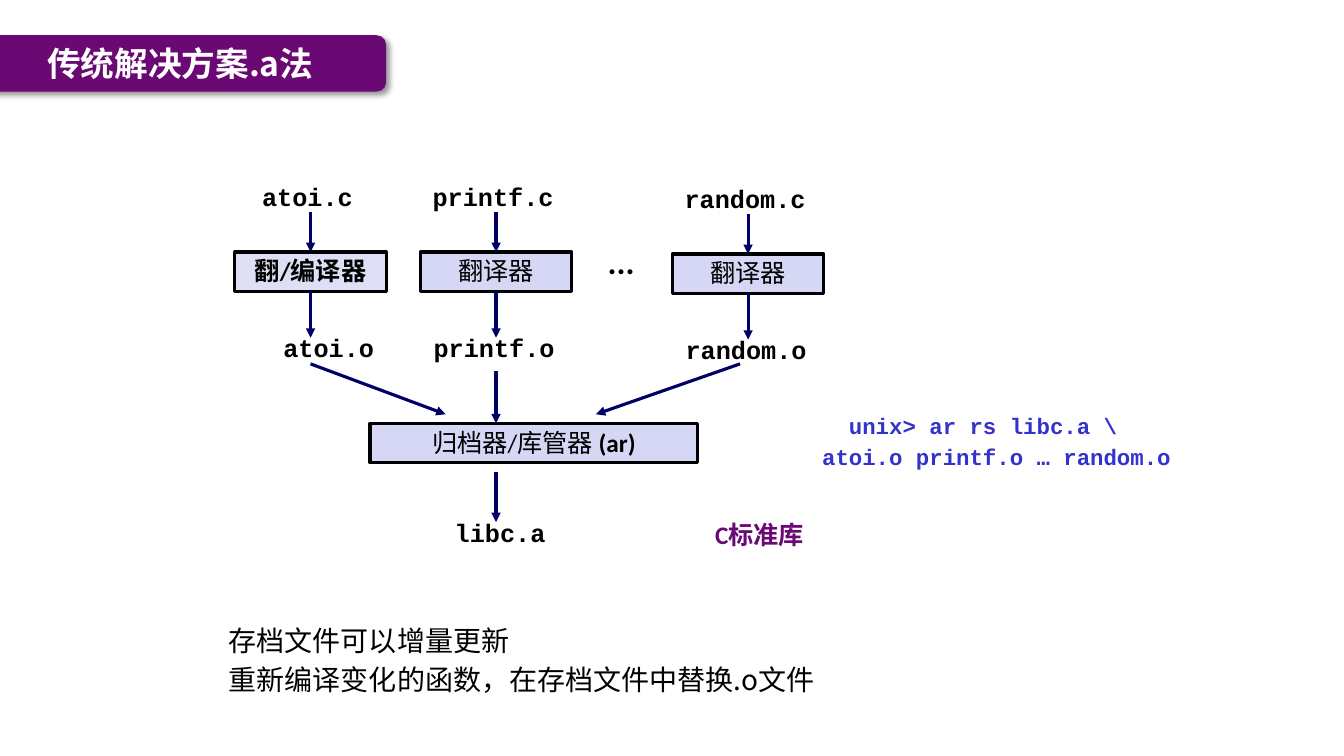
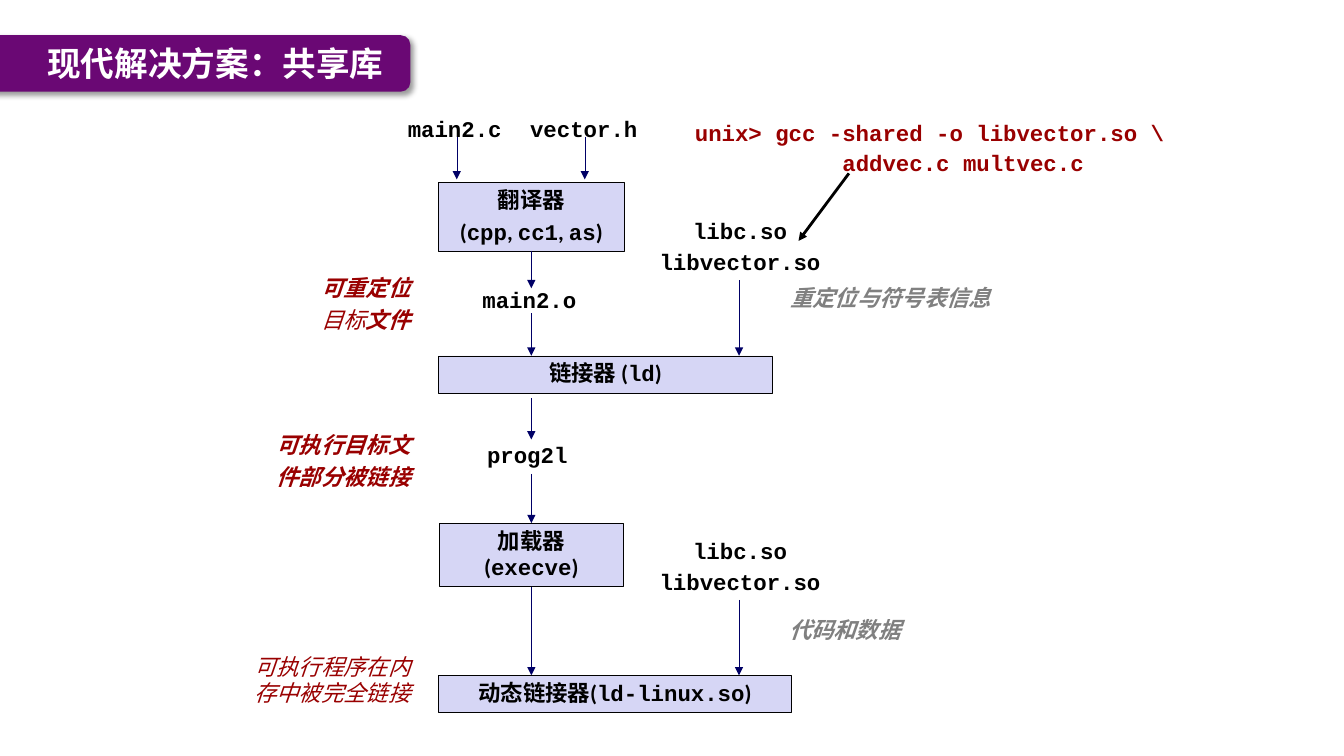
"""Build two slides on static archives and shared libraries."""
from dataclasses import dataclass, replace

from lxml import etree
from pptx import Presentation
from pptx import util as u
from pptx.dml.color import RGBColor
from pptx.enum import shapes, text
from pptx.oxml import parse_xml
from pptx.oxml.ns import nsdecls, qn

BLACK = RGBColor(0x00, 0x00, 0x00)
WHITE = RGBColor(0xFF, 0xFF, 0xFF)
NAVY = RGBColor(0x00, 0x00, 0x66)
BLUE = RGBColor(0x33, 0x33, 0xCC)
PURPLE = RGBColor(0x6A, 0x08, 0x74)
RED = RGBColor(0x99, 0x00, 0x00)
GRAY = RGBColor(0x80, 0x80, 0x80)
LAVENDER = RGBColor(0xD6, 0xD6, 0xF5)
PALE_LAVENDER = RGBColor(0xDE, 0xDF, 0xF5)
LEFT, CENTER, RIGHT = text.PP_ALIGN.LEFT, text.PP_ALIGN.CENTER, text.PP_ALIGN.RIGHT
TOP_SITE, BOTTOM_SITE = 0, 2


@dataclass(frozen=True)
class Style:
    """Character format of a run."""
    font: str = "Calibri"
    size: int = 16
    color: RGBColor = BLACK
    bold: bool = True
    italic: bool = False


MONO = Style("Courier New")
BOX = Style()
NOTE = Style(color=RED, italic=True)
HINT = Style(color=GRAY, italic=True)
HEADING = Style("Noto Sans CJK SC", 24, WHITE)
BODY = Style("Noto Sans CJK SC", 20, bold=False)


class Deck:
    """Holds the presentation, the current slide and its line weight."""

    def __init__(self):
        self.prs = Presentation()
        self.prs.slide_width, self.prs.slide_height = u.Inches(13.33), u.Inches(7.5)
        self.slide = None
        self.weight = 1

    def new_slide(self, title, band_width, weight):
        """Add a slide with its title on a purple band."""
        self.slide = self.prs.slides.add_slide(self.prs.slide_layouts[5])
        self.weight = weight
        heading = self.slide.shapes.title
        heading.left, heading.top = u.Inches(0.37), u.Inches(0.35)
        heading.width, heading.height = u.Inches(band_width - 0.7), u.Inches(0.55)
        self.fill_text(heading.text_frame, [title], HEADING, LEFT, 1.0)
        heading.text_frame.vertical_anchor = text.MSO_ANCHOR.MIDDLE
        heading.text_frame.auto_size = text.MSO_AUTO_SIZE.NONE
        band = self.slide.shapes.add_shape(
            shapes.MSO_SHAPE.ROUNDED_RECTANGLE,
            u.Inches(-0.2), u.Inches(0.35), u.Inches(band_width), u.Inches(0.56))
        band.fill.solid()
        band.fill.fore_color.rgb = PURPLE
        band.line.fill.background()
        band._element.spPr.append(parse_xml(
            f'<a:effectLst {nsdecls("a")}><a:outerShdw blurRad="{u.Pt(4)}" dist="{u.Pt(3)}"'
            ' dir="2700000" algn="tl" rotWithShape="0"><a:srgbClr val="000000">'
            '<a:alpha val="40000"/></a:srgbClr></a:outerShdw></a:effectLst>'))
        heading._element.addprevious(band._element)

    def fill_text(self, frame, lines, style, align, spacing):
        """Fill a frame with lines, each a string or a list of (text, style) runs."""
        for index, line in enumerate(lines):
            paragraph = frame.add_paragraph() if index else frame.paragraphs[0]
            paragraph.alignment = align
            paragraph.line_spacing = spacing
            paragraph.space_before = u.Pt(4 if index and isinstance(spacing, float) else 0)
            for words, look in [(line, style)] if isinstance(line, str) else line:
                run = paragraph.add_run()
                run.text = words
                font = run.font
                font.name, font.size = look.font, u.Pt(look.size)
                font.bold, font.italic = look.bold, look.italic
                font.color.rgb = look.color
                east_asian = etree.SubElement(run._r.rPr, qn("a:ea"))
                east_asian.set("typeface", look.font)

    def label(self, at, lines, style, align=CENTER, spacing=0.98, wrap=True):
        """Add a text box at (left, top, width, height)."""
        frame = self.slide.shapes.add_textbox(*map(u.Inches, at)).text_frame
        frame.word_wrap = wrap
        self.fill_text(frame, lines, style, align, spacing)

    def code(self, center, top, lines, style=MONO):
        """Add unwrapped monospaced lines centred on an axis."""
        width = max(map(len, lines)) * style.size * 0.6 / 72 + 0.2
        height = 0.1 + len(lines) * style.size / 62
        self.label((center - width / 2, top, width, height),
                   lines, style, spacing=0.94, wrap=False)

    def box(self, at, lines, style=BOX, fill=LAVENDER):
        """Add a tool box at (left, top, width, height)."""
        tool = self.slide.shapes.add_shape(
            shapes.MSO_SHAPE.RECTANGLE, *map(u.Inches, at))
        tool.shadow.inherit = False
        tool.fill.solid()
        tool.fill.fore_color.rgb = fill
        tool.line.color.rgb = BLACK
        tool.line.width = u.Pt(self.weight)
        tool.text_frame.word_wrap = True
        tool.text_frame.vertical_anchor = text.MSO_ANCHOR.TOP
        self.fill_text(tool.text_frame, lines, style, CENTER, 0.98)
        return tool

    def arrow(self, start, end, source=None, target=None, color=NAVY, weight=None):
        """Add an arrow, joined below a source or above a target box if given."""
        link = self.slide.shapes.add_connector(
            shapes.MSO_CONNECTOR.STRAIGHT, *map(u.Inches, start + end))
        if source is not None:
            link.begin_connect(source, BOTTOM_SITE)
        if target is not None:
            link.end_connect(target, TOP_SITE)
        link.line.color.rgb = color
        link.line.width = u.Pt(weight or self.weight)
        etree.SubElement(link.line._get_or_add_ln(), qn("a:tailEnd")).set("type", "triangle")
        etree.SubElement(link._element.spPr, qn("a:effectLst"))


def archive_slide(deck):
    """Show how object files become a static archive."""
    deck.new_slide("传统解决方案.a法", 4.03, 2.25)
    mono = replace(MONO, size=18)
    strong = replace(BOX, size=18)
    plain = replace(strong, bold=False)
    slash = [("翻/编译器", strong)]
    translator = [("翻译器", plain)]
    columns = [
        ("atoi", 3.08, 3.26, 2.5, slash, PALE_LAVENDER),
        ("printf", 4.92, 4.9, 2.5, translator, LAVENDER),
        ("random", 7.42, 7.4, 2.52, translator, LAVENDER),
    ]
    for name, axis, object_axis, top, tool_name, fill in columns:
        tool = deck.box((axis - 0.75, top, 1.5, 0.39), [tool_name], fill=fill)
        deck.arrow((axis, top - 0.4), (axis, top), target=tool)
        deck.arrow((axis, top + 0.39), (axis, top + 0.85), source=tool)
        deck.code(axis - 0.03, top - 0.73, [f"{name}.c"], mono)
        deck.code(object_axis, top + 0.77, [f"{name}.o"], mono)
    deck.label((5.92, 2.36, 0.48, 0.5), ["..."], replace(BOX, size=24), wrap=False)

    deck.box((3.67, 4.2, 3.25, 0.39), [[("归档器/库管器 ", plain), ("(ar)", strong)]])
    for start, end in [((3.08, 3.61), (4.42, 4.11)),
                       ((4.92, 3.68), (4.92, 4.2)),
                       ((7.34, 3.61), (5.91, 4.11)),
                       ((4.92, 4.68), (4.92, 5.18))]:
        deck.arrow(start, end)
    deck.code(4.96, 5.11, ["libc.a"], mono)
    deck.code(9.75, 4.06, ["unix> ar rs libc.a \\", "  atoi.o printf.o … random.o"],
              replace(MONO, color=BLUE))
    deck.label((5.91, 5.12, 3.25, 0.4), ["C标准库"], replace(strong, color=PURPLE))
    deck.label((2.17, 6.08, 9.09, 1.17),
               ["存档文件可以增量更新", "重新编译变化的函数，在存档文件中替换.o文件"],
               BODY, LEFT, u.Pt(28))


def shared_slide(deck):
    """Show linking and loading with shared libraries."""
    deck.new_slide("现代解决方案：共享库", 4.27, 0.25)
    axis, library_axis = 5.27, 7.33
    translator = deck.box((4.35, 1.81, 1.84, 0.68), [
        "翻译器",
        [("(", BOX), ("cpp", MONO), (", ", BOX), ("cc1", MONO),
         (", ", BOX), ("as", MONO), (")", BOX)]])
    loader = deck.box((4.36, 5.19, 1.82, 0.63),
                      [[("加载器 (", BOX), ("execve", MONO), (")", BOX)]])
    for top, width, name, command in [(3.53, 3.31, "链接器 (", "ld"),
                                      (6.7, 3.5, "动态链接器(", "ld-linux.so")]:
        deck.box((4.35, top, width, 0.37), [[(name, BOX), (command, MONO), (")", BOX)]])

    for x, top, bottom in [(4.53, 1.36, 1.78), (5.8, 1.36, 1.78),
                           (axis, 3.11, 3.53), (axis, 3.95, 4.36),
                           (library_axis, 2.78, 3.53), (library_axis, 5.95, 6.7)]:
        deck.arrow((x, top), (x, bottom))
    deck.arrow((axis, 2.49), (axis, 2.86), source=translator)
    deck.arrow((axis, 4.7), (axis, 5.19), target=loader)
    deck.arrow((axis, 5.82), (axis, 6.7), source=loader)
    deck.arrow((8.42, 1.72), (7.92, 2.39), color=BLACK, weight=2)

    for center, top, name in [(4.51, 1.11, "main2.c"), (5.79, 1.11, "vector.h"),
                              (5.25, 2.81, "main2.o"), (5.23, 4.35, "prog2l")]:
        deck.code(center, top, [name])
    for top in (2.13, 5.3):
        deck.code(7.34, top, ["libc.so", "libvector.so"])
    deck.code(9.22, 1.15, ["unix> gcc -shared -o libvector.so \\",
                           "     addvec.c multvec.c"], replace(MONO, color=RED))

    light = replace(NOTE, bold=False)
    for left, top, height, lines in [
            (2.67, 2.68, 0.68, ["可重定位", [("目标", light), ("文件", NOTE)]]),
            (1.42, 4.24, 0.68, ["可执行目标文", "件部分被链接"]),
            (2.25, 6.44, 0.63, [[("可执行程序在内存中被完全链接", light)]])]:
        deck.label((left, top, 4.17 - left, height), lines, NOTE, RIGHT)
    for top, width, hint in [(2.78, 2.85, "重定位与符号表信息"), (6.08, 1.94, "代码和数据")]:
        deck.label((7.41, top, width, 0.37), [hint], HINT)


def main():
    """Build and save the deck."""
    deck = Deck()
    archive_slide(deck)
    shared_slide(deck)
    deck.prs.save("out.pptx")


if __name__ == "__main__":
    main()
